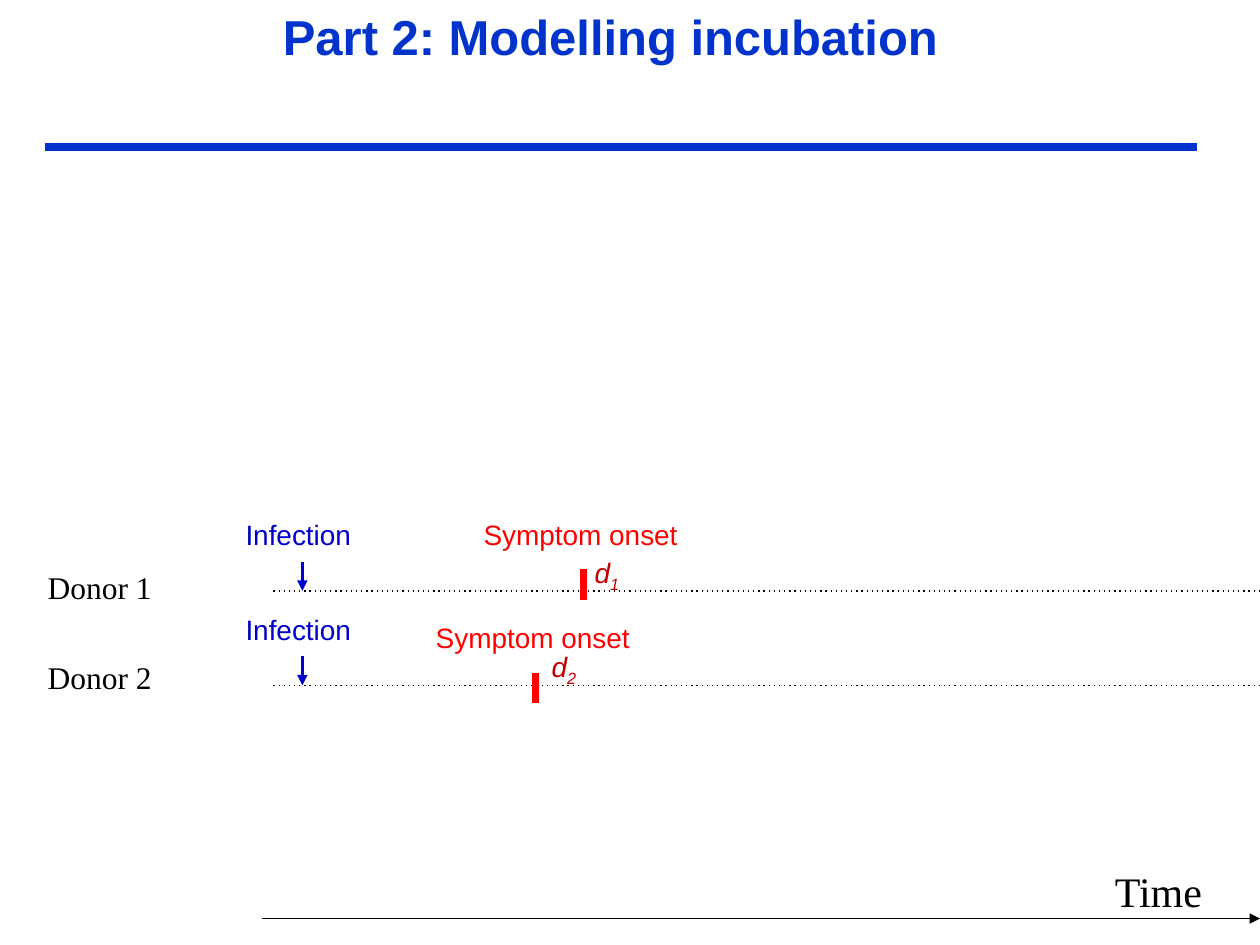
from lxml.etree import SubElement
from pptx import Presentation
from pptx.dml.color import RGBColor
from pptx.enum.shapes import MSO_CONNECTOR
from pptx.enum.text import PP_ALIGN
from pptx.oxml.ns import qn
from pptx.util import Inches, Pt

COLORS = {"title": "0033CC", "ink": "000000", "infection": "0000CC",
          "onset": "FF0000", "duration": "C00000"}
SANS, SERIF = "Arial", "Times New Roman"

prs = Presentation()
prs.slide_width, prs.slide_height = Inches(10), Inches(7.5)
slide = prs.slides.add_slide(prs.slide_layouts[6])


def add_line(x1, y1, x2, y2, color, width, dotted=False, arrow=False):
    line = slide.shapes.add_connector(
        MSO_CONNECTOR.STRAIGHT, Inches(x1), Inches(y1), Inches(x2), Inches(y2))
    line.line.color.rgb = RGBColor.from_string(COLORS[color])
    line.line.width = Pt(width)
    outline = line.line._get_or_add_ln()
    if dotted:
        SubElement(outline, qn("a:prstDash"), val="dot")
    if arrow:
        SubElement(outline, qn("a:tailEnd"), type="triangle")
    SubElement(line._element.spPr, qn("a:effectLst"))


def add_label(x, y, w, h, text, color, size, font, bold=False, italic=False,
              align=PP_ALIGN.LEFT, subscript=""):
    frame = slide.shapes.add_textbox(
        Inches(x), Inches(y), Inches(w), Inches(h)).text_frame
    frame.word_wrap = True
    paragraph = frame.paragraphs[0]
    paragraph.alignment = align
    for part in filter(None, (text, subscript)):
        run = paragraph.add_run()
        run.text = part
        run.font.name, run.font.size = font, Pt(size)
        run.font.bold, run.font.italic = bold, italic
        run.font.color.rgb = RGBColor.from_string(COLORS[color])
    if subscript:
        run._r.get_or_add_rPr().set("baseline", "-25000")


# Title and rule
add_line(0.36, 1.17, 9.5, 1.17, "title", 4.5)
add_label(2.01, 0, 5.67, 1.04, "Part 2: Modelling incubation", "title", 28,
          SANS, bold=True, align=PP_ALIGN.CENTER)

# Time axis
add_label(8.75, 6.82, 1.25, 0.5, "Time", "ink", 24, SERIF)
add_line(2.08, 7.29, 10, 7.29, "ink", 0.75, arrow=True)

# Donor timelines: number, timeline y, name y, onset x, onset top, duration x
donors = [("1", 4.69, 4.46, 4.63, 4.52, 4.62),
          ("2", 5.44, 5.17, 4.25, 5.34, 4.28)]
for number, timeline_y, name_y, onset_x, onset_y, duration_x in donors:
    add_line(2.17, timeline_y, 10, timeline_y, "ink", 0.75, dotted=True)
    add_label(0.28, name_y, 1.5, 0.4, f"Donor {number}", "ink", 18, SERIF)

    # Infection
    add_line(2.4, timeline_y - 0.23, 2.4, timeline_y, "infection", 1.5, arrow=True)
    add_label(1.85, timeline_y - 0.63, 1.05, 0.37, "Infection", "infection", 16, SANS)

    # Symptom onset and incubation time
    add_line(onset_x, onset_y, onset_x, onset_y + 0.24, "onset", 4)
    add_label(onset_x - 0.89, onset_y - 0.46, 1.76, 0.37, "Symptom onset",
              "onset", 16, SANS)
    add_label(duration_x, timeline_y - 0.33, 0.41, 0.37, "d", "duration", 16,
              SANS, italic=True, subscript=number)

prs.save("out.pptx")
